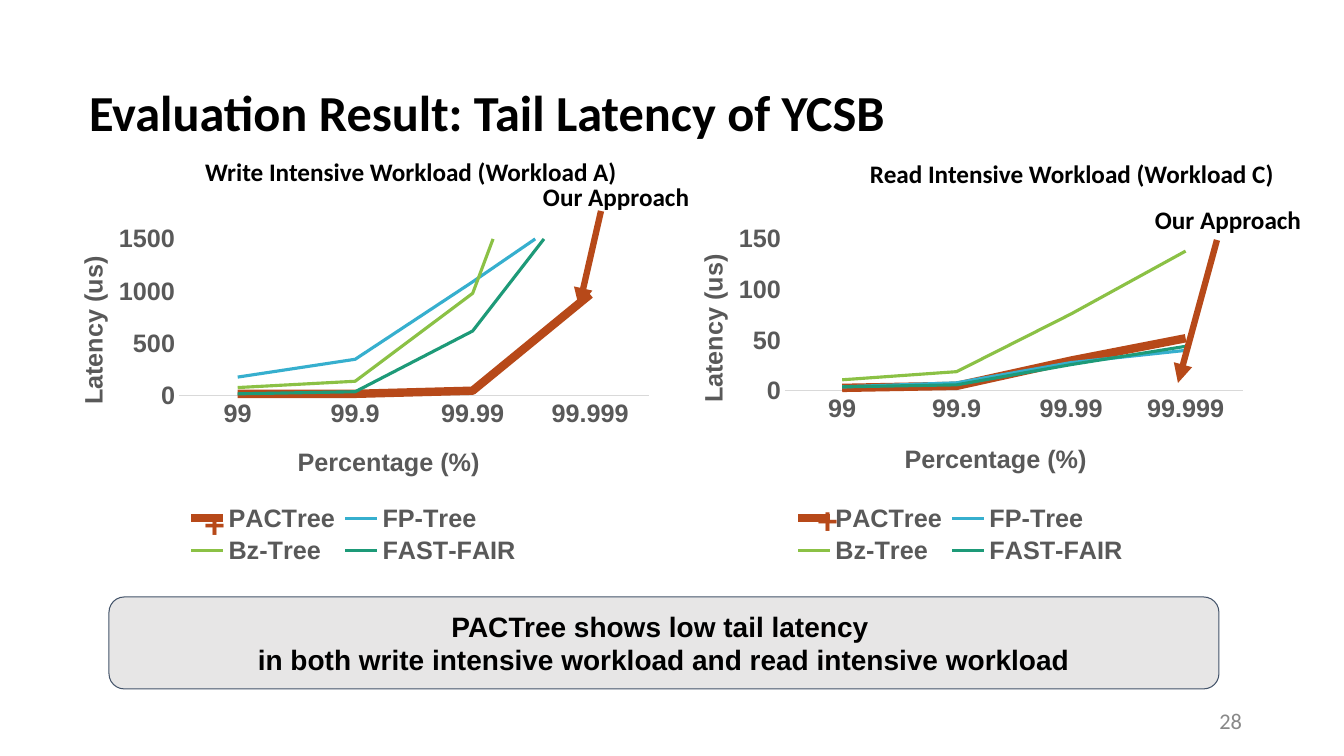
from dataclasses import dataclass

from lxml import etree
from pptx import Presentation
from pptx import util as u
from pptx.chart.data import CategoryChartData
from pptx.dml.color import RGBColor
from pptx.enum import chart as charts, shapes, text
from pptx.oxml import parse_xml
from pptx.oxml.ns import nsdecls, qn


@dataclass(frozen=True)
class Theme:
    black: str = "000000"
    accent: str = "B74919"
    axis_text: str = "595959"
    axis_line: str = "D9D9D9"
    muted: str = "888888"
    box_fill: str = "E7E6E6"
    box_line: str = "44546A"
    heading_font: str = "Calibri"
    body_font: str = "Arial"
    title_size: int = 36
    plus_size: int = 28
    box_size: int = 20
    label_size: int = 18
    number_size: int = 16


THEME = Theme()
EMU_PER_PX = 914400 / 100.8

TITLE = ("Evaluation Result: Tail Latency of YCSB", (79, 76, 1159, 79))
PERCENTILES = ["99", "99.9", "99.99", "99.999"]
SERIES_STYLES = {
    "PACTree": (THEME.accent, 6),
    "FP-Tree": ("36AFCE", 2.25),
    "Bz-Tree": ("8BC145", 2.25),
    "FAST-FAIR": ("1D9A78", 2.25),
}
CHARTS = [
    {
        "frame": (45, 218, 616, 353),
        "plot": (179, 239, 470, 157),
        "legend": (181, 500, 345, 69),
        "category_title": (293, 441),
        "value_title": (72, 252),
        "maximum": 1500,
        "major": 500,
        "values": [(20, 20, 50, 970), (180, 350, 1090, 1860),
                   (80, 140, 980, 3980), (20, 40, 620, 2070)],
    },
    {
        "frame": (666, 218, 589, 353),
        "plot": (785, 239, 458, 152),
        "legend": (788, 500, 345, 69),
        "category_title": (900, 438),
        "value_title": (692, 250),
        "maximum": 150,
        "major": 50,
        "values": [(3, 5, 30, 52), (4, 8, 28, 40),
                   (11, 19, 76, 138), (4, 6, 26, 44)],
    },
]
LABEL = {"size": THEME.label_size, "color": THEME.black}
PLUS = {"size": THEME.plus_size, "color": THEME.accent}
LABELS = [
    ("Write Intensive Workload (Workload A)", (195, 151, 450, 40), LABEL),
    ("Read Intensive Workload (Workload C)", (860, 153, 464, 40), LABEL),
    ("Our Approach", (533, 176, 167, 40), LABEL),
    ("Our Approach", (1145, 199, 167, 40), LABEL),
    ("+", (195, 494, 167, 57), PLUS),
    ("+", (808, 490, 167, 57), PLUS),
]
ARROWS = [(601, 211, 579, 307), (1217, 240, 1178, 383)]
SUMMARY = (["PACTree shows low tail latency ",
            "in both write intensive workload and read intensive workload"],
           (109, 597, 1110, 92))
PAGE_NUMBER = ("28", (950, 701, 302, 40))


def px(length):
    return u.Emu(round(length * EMU_PER_PX))


def box(rectangle):
    return [px(length) for length in rectangle]


def assign(target, values):
    for name, value in values.items():
        setattr(target, name, value)


def format_font(font, size, color, name=THEME.heading_font, bold=True):
    assign(font, {"size": u.Pt(size), "name": name, "bold": bold})
    font.color.rgb = RGBColor.from_string(color)


def format_line(line, color, width):
    line.color.rgb = RGBColor.from_string(color)
    line.width = u.Pt(width)


def write(shape, lines, size, color, name=THEME.heading_font, bold=True,
          align=text.PP_ALIGN.LEFT, anchor=text.MSO_ANCHOR.TOP, spacing=1.0):
    frame = shape.text_frame
    assign(frame, {
        "word_wrap": True, "auto_size": text.MSO_AUTO_SIZE.NONE,
        "vertical_anchor": anchor,
        "margin_left": px(10), "margin_right": px(10),
        "margin_top": px(5), "margin_bottom": px(5),
    })
    for index, line in enumerate(lines):
        paragraph = frame.add_paragraph() if index else frame.paragraphs[0]
        assign(paragraph, {"alignment": align, "line_spacing": spacing})
        run = paragraph.add_run()
        run.text = line
        format_font(run.font, size, color, name, bold)


def manual_layout(element, frame, place, successors, inner=False):
    for old in element.findall(qn("c:layout")):
        element.remove(old)
    layout = parse_xml(f"<c:layout {nsdecls('c')}><c:manualLayout/></c:layout>")
    settings = [("layoutTarget", "inner")] if inner else []
    settings += [("xMode", "edge"), ("yMode", "edge")]
    left, top, width, height = frame
    fractions = [(place[0] - left) / width, (place[1] - top) / height]
    fractions += [part / whole for part, whole in zip(place[2:], (width, height))]
    settings += [(key, f"{value:.4f}") for key, value in zip("xywh", fractions)]
    for key, value in settings:
        etree.SubElement(layout[0], qn(f"c:{key}")).set("val", value)
    following = [child for child in element
                 if child.tag in [qn(f"c:{name}") for name in successors]]
    if following:
        following[0].addprevious(layout)
    else:
        element.append(layout)


def add_latency_chart(slide, content):
    frame = content["frame"]
    data = CategoryChartData()
    data.categories = PERCENTILES
    for name, values in zip(SERIES_STYLES, content["values"]):
        data.add_series(name, values)
    chart = slide.shapes.add_chart(
        charts.XL_CHART_TYPE.LINE, *box(frame), data).chart
    assign(chart, {"has_title": False, "has_legend": True})
    format_font(chart.font, THEME.label_size, THEME.axis_text, THEME.body_font)
    assign(chart.legend, {"position": charts.XL_LEGEND_POSITION.BOTTOM,
                          "include_in_layout": False})
    chart.plots[0].vary_by_categories = False
    for series, (color, width) in zip(chart.plots[0].series,
                                      SERIES_STYLES.values()):
        series.smooth = False
        series.marker.style = charts.XL_MARKER_STYLE.NONE
        format_line(series.format.line, color, width)
    category, value = chart.category_axis, chart.value_axis
    assign(value, {"minimum_scale": 0, "maximum_scale": content["maximum"],
                   "major_unit": content["major"]})
    for axis, title, place in (
            (category, "Percentage (%)", content["category_title"]),
            (value, "Latency (us)", content["value_title"])):
        assign(axis, {"has_major_gridlines": False,
                      "major_tick_mark": charts.XL_TICK_MARK.NONE})
        for font in (axis.tick_labels.font,):
            format_font(font, THEME.label_size, THEME.axis_text, THEME.body_font)
        run = axis.axis_title.text_frame.paragraphs[0].add_run()
        run.text = title
        format_font(run.font, THEME.label_size, THEME.axis_text, THEME.body_font)
        manual_layout(axis.axis_title._element, frame, place,
                      ["overlay", "spPr", "txPr"])
    value.axis_title.text_frame._txBody.bodyPr.set("rot", "-5400000")
    format_line(category.format.line, THEME.axis_line, 0.75)
    value.format.line.fill.background()
    plot_area = chart._chartSpace.chart.plotArea
    manual_layout(plot_area, frame, content["plot"], ["lineChart"], inner=True)
    manual_layout(chart.legend._element, frame, content["legend"],
                  ["overlay", "spPr", "txPr"])


def add_arrow(slide, ends):
    arrow = slide.shapes.add_connector(shapes.MSO_CONNECTOR.STRAIGHT, *box(ends))
    format_line(arrow.line, THEME.accent, 4.5)
    etree.SubElement(arrow.line._get_or_add_ln(), qn("a:tailEnd")).set(
        "type", "triangle")
    etree.SubElement(arrow._element.spPr, qn("a:effectLst"))


def main():
    presentation = Presentation()
    assign(presentation, {"slide_width": px(1344), "slide_height": px(756)})
    slide = presentation.slides.add_slide(presentation.slide_layouts[5])

    title = slide.shapes.title
    assign(title, dict(zip(("left", "top", "width", "height"), box(TITLE[1]))))
    write(title, [TITLE[0]], THEME.title_size, THEME.black,
          anchor=text.MSO_ANCHOR.MIDDLE, spacing=0.9)
    number = slide.shapes.add_textbox(*box(PAGE_NUMBER[1]))
    write(number, [PAGE_NUMBER[0]], THEME.number_size, THEME.muted, bold=False,
          align=text.PP_ALIGN.RIGHT, anchor=text.MSO_ANCHOR.MIDDLE)

    for content in CHARTS:
        add_latency_chart(slide, content)

    summary = slide.shapes.add_shape(
        shapes.MSO_SHAPE.ROUNDED_RECTANGLE, *box(SUMMARY[1]))
    summary.shadow.inherit = False
    summary.fill.solid()
    summary.fill.fore_color.rgb = RGBColor.from_string(THEME.box_fill)
    format_line(summary.line, THEME.box_line, 0.75)
    write(summary, SUMMARY[0], THEME.box_size, THEME.black, THEME.body_font,
          align=text.PP_ALIGN.CENTER, anchor=text.MSO_ANCHOR.MIDDLE)

    for label, rectangle, style in LABELS:
        write(slide.shapes.add_textbox(*box(rectangle)), [label], **style)
    for ends in ARROWS:
        add_arrow(slide, ends)
    presentation.save("out.pptx")


if __name__ == "__main__":
    main()
